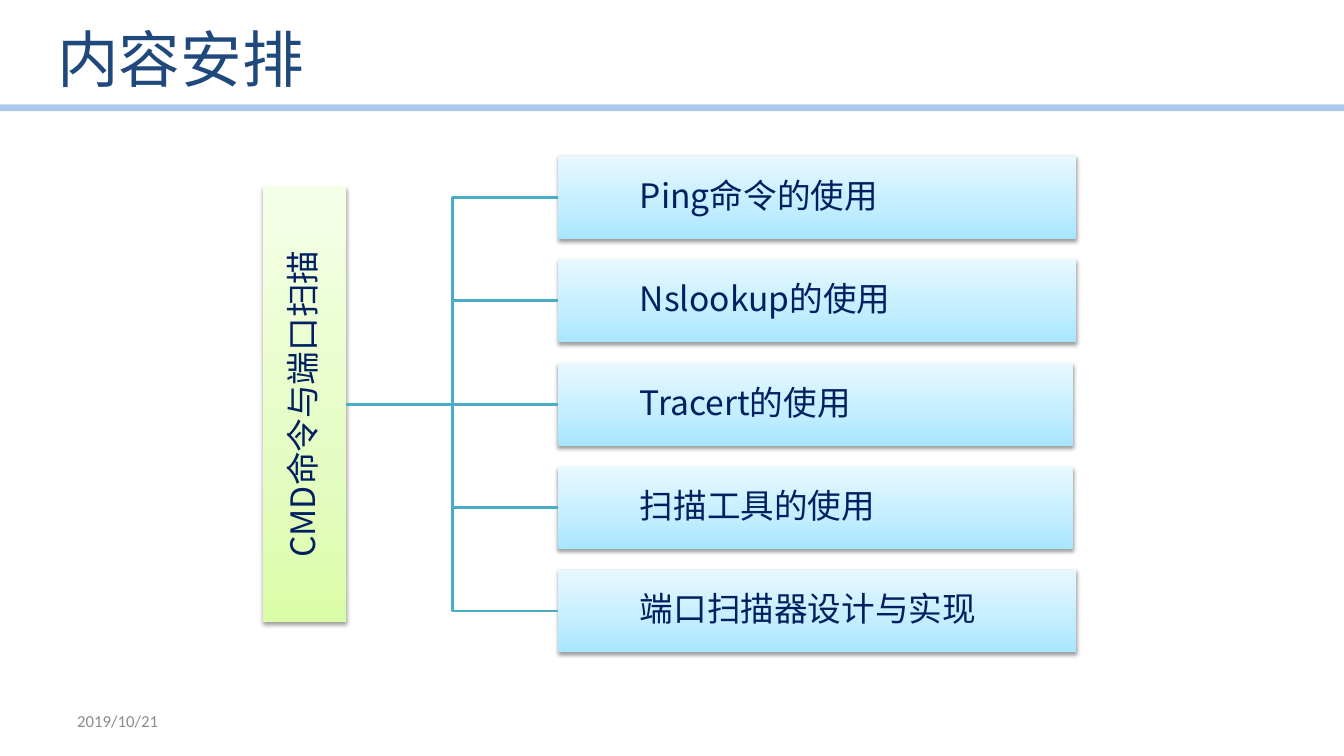
from lxml import etree
from pptx import Presentation
from pptx.dml.color import RGBColor
from pptx.enum.shapes import MSO_CONNECTOR, MSO_SHAPE
from pptx.enum.text import MSO_ANCHOR, PP_ALIGN
from pptx.oxml import parse_xml
from pptx.oxml.ns import qn
from pptx.util import Pt

STRAIGHT, ELBOW = MSO_CONNECTOR.STRAIGHT, MSO_CONNECTOR.ELBOW
RECTANGLE = MSO_SHAPE.RECTANGLE
MIDDLE = MSO_ANCHOR.MIDDLE
LEFT, CENTER = PP_ALIGN.LEFT, PP_ALIGN.CENTER
NAMESPACE = "http://schemas.openxmlformats.org/drawingml/2006/main"
CJK_FONT = "Noto Sans CJK SC"
GREEN = ("DAFDA7", "E4FCC2", "F5FFE7")
BLUE = ("A7E6FF", "C1EDFF", "E7F8FF")


def rgb(value):
    return RGBColor.from_string(value)


def write(shape, text, size, color, font, align):
    frame = shape.text_frame
    frame.word_wrap = True
    frame.vertical_anchor = MIDDLE
    paragraph = frame.paragraphs[0]
    paragraph.alignment = align
    run = paragraph.add_run()
    run.text = text
    run.font.size = Pt(size)
    run.font.name = font
    run.font.color.rgb = rgb(color)
    etree.SubElement(run.font._element, qn("a:ea"), typeface=font)
    return paragraph


presentation = Presentation()
presentation.slide_width, presentation.slide_height = Pt(960), Pt(540)
slide = presentation.slides.add_slide(presentation.slide_layouts[5])
shapes = slide.shapes

# Title
title = shapes.title
title.left, title.top, title.width, title.height = Pt(33.8), Pt(6.5), Pt(793.4), Pt(69.8)
write(title, "内容安排", 44, "1F497D", CJK_FONT, LEFT)

# Rule under the title
rule = shapes.add_connector(STRAIGHT, Pt(0), Pt(77), Pt(960), Pt(77))
rule.line.width = Pt(4.75)
rule.line.color.rgb = rgb("8EB4E3")
rule_color = rule.line._ln.find(".//" + qn("a:srgbClr"))
etree.SubElement(rule_color, qn("a:alpha"), val="73000")
etree.SubElement(rule._element.spPr, qn("a:effectLst"))

# Root box and topic boxes: text, left, top, width, height, gradient
items = [("CMD命令与端口扫描", 188, 133.2, 59.2, 311, GREEN)]
topics = [
    ("Ping命令的使用", 370),
    ("Nslookup的使用", 370),
    ("Tracert的使用", 368),
    ("扫描工具的使用", 368),
    ("端口扫描器设计与实现", 370),
]
for row, (text, width) in enumerate(topics):
    items.append((text, 398.8, 111.3 + 73.9 * row, width, 59.2, BLUE))

boxes = []
for text, left, top, width, height, stops in items:
    box = shapes.add_shape(RECTANGLE, Pt(left), Pt(top), Pt(width), Pt(height))
    box.line.fill.background()
    box.fill.gradient()
    box.fill.gradient_angle = 90
    properties = box._element.spPr
    stop_list = properties.find(".//" + qn("a:gsLst"))
    stop_list.clear()
    for position, color in zip((0, 35000, 100000), stops):
        stop = etree.SubElement(stop_list, qn("a:gs"), pos=str(position))
        etree.SubElement(stop, qn("a:srgbClr"), val=color)
    properties.append(parse_xml(
        f'<a:effectLst xmlns:a="{NAMESPACE}"><a:outerShdw blurRad="{Pt(3.1)}" '
        f'dist="{Pt(1.6)}" dir="5400000" rotWithShape="0"><a:srgbClr val="000000">'
        '<a:alpha val="38000"/></a:srgbClr></a:outerShdw></a:effectLst>'))

    frame = box.text_frame
    frame.margin_left = frame.margin_right = frame.margin_top = frame.margin_bottom = Pt(1.4)
    is_root = stops is GREEN
    paragraph = write(box, text, 24, "002060", CJK_FONT, CENTER if is_root else LEFT)
    paragraph.line_spacing = 0.9
    if is_root:
        frame._txBody.bodyPr.set("vert", "vert270")
    else:
        paragraph._p.get_or_add_pPr().set("indent", str(Pt(56.9)))
    boxes.append(box)

# Branches from the root to each topic
root, *topic_boxes = boxes
for row, topic_box in enumerate(topic_boxes):
    kind = STRAIGHT if row == len(topics) // 2 else ELBOW
    branch = shapes.add_connector(kind, Pt(0), Pt(0), Pt(0), Pt(0))
    branch.begin_connect(root, 3)
    branch.end_connect(topic_box, 1)
    branch.line.width = Pt(2)
    branch.line.color.rgb = rgb("4BACC6")
    etree.SubElement(branch._element.spPr, qn("a:effectLst"))

# Date
date = shapes.add_textbox(Pt(48), Pt(500.4), Pt(224), Pt(28.8))
write(date, "2019/10/21", 12, "8C8C8C", "Calibri", LEFT)

presentation.save("out.pptx")
